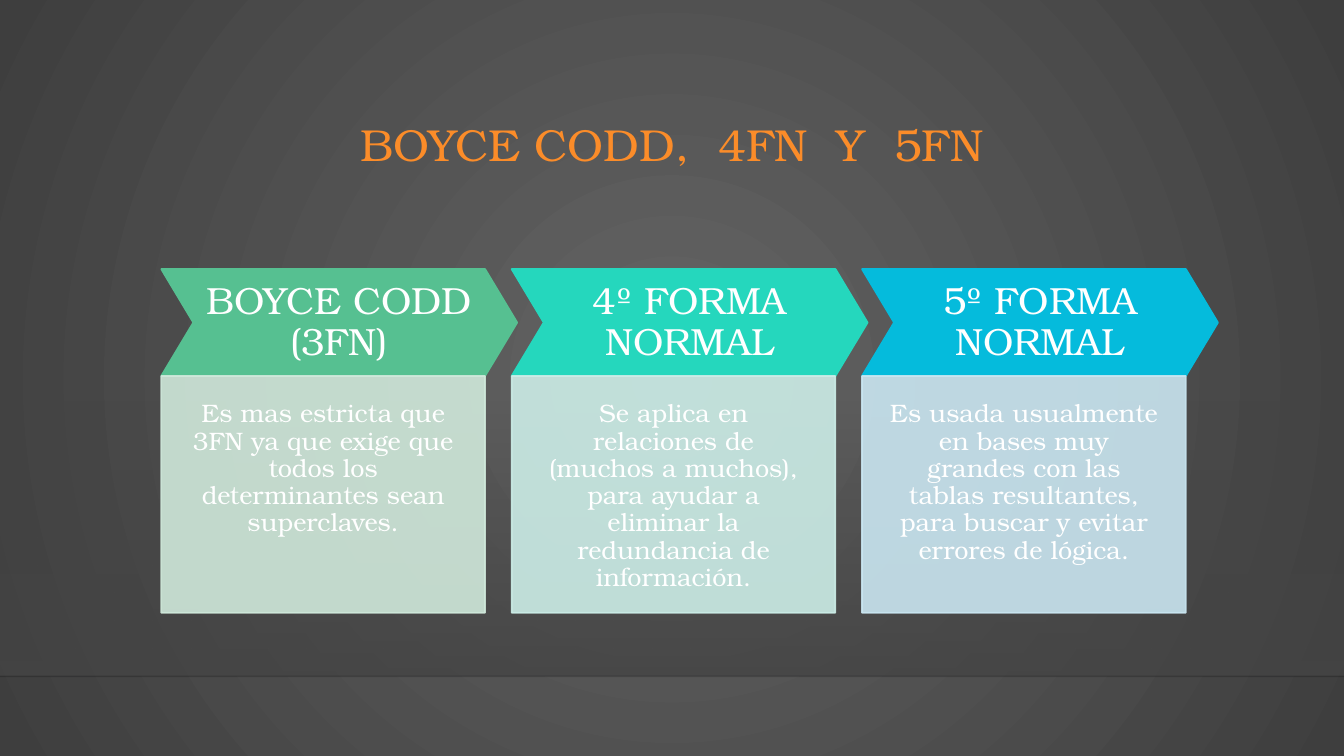
"""Build the slide that presents the Boyce Codd, fourth and fifth normal forms."""
from dataclasses import dataclass

from pptx import Presentation
from pptx import util as u
from pptx.dml.color import RGBColor
from pptx.enum import shapes, text
from pptx.oxml import parse_xml
from pptx.oxml.ns import nsdecls, qn
from pptx.oxml.xmlchemy import BaseOxmlElement
from pptx.shapes.autoshape import Shape
from pptx.slide import Slide
from pptx.text.text import TextFrame

FONT = "TeX Gyre Bonum"
WHITE = "FFFFFF"
SLIDE_WIDTH, SLIDE_HEIGHT = 13.33, 7.5
FIRST_LEFT, COLUMN_STEP = 1.6, 3.475
HEADER_TOP, HEADER_WIDTH, HEADER_HEIGHT = 2.67, 3.53, 1.06
BODY_WIDTH, BODY_HEIGHT = 3.21, 2.35
FLOOR_TOP = 6.71


@dataclass(frozen=True)
class NormalForm:
    """One column: its heading, explanation and two colours."""
    heading: str
    explanation: str
    accent: str
    tint: str


@dataclass(frozen=True)
class TextStyle:
    """Size, colour, anchor and left, top, right, bottom insets of a text."""
    size: float
    color: str
    anchor: text.MSO_ANCHOR
    insets: tuple[float, float, float, float]


TITLE = TextStyle(32, "FB8C29", text.MSO_ANCHOR.MIDDLE, (0.1, 0.05, 0.1, 0.05))
HEADING = TextStyle(27, WHITE, text.MSO_ANCHOR.MIDDLE, (0.13, 0.13, 0.13, 0.13))
EXPLANATION = TextStyle(18, WHITE, text.MSO_ANCHOR.TOP, (0.25, 0.25, 0.25, 0.51))

NORMAL_FORMS = [
    NormalForm("BOYCE CODD (3FN)",
               "Es mas estricta que 3FN ya que exige que todos los determinantes "
               "sean superclaves.", "56C091", "D0E9DB"),
    NormalForm("4º FORMA NORMAL",
               "Se aplica en relaciones de (muchos a muchos), para ayudar a eliminar "
               "la redundancia de información.", "25D7BD", "CCEDE7"),
    NormalForm("5º FORMA NORMAL",
               "Es usada usualmente en bases muy grandes con las tablas resultantes, "
               "para buscar y evitar errores de lógica.", "05BBDC", "CAE6F1"),
]


def rgb(color: str) -> RGBColor:
    """Turn a hex string into a colour."""
    return RGBColor.from_string(color)


def set_values(target: object, values: dict[str, object]) -> None:
    """Set each named attribute on the target."""
    for name, value in values.items():
        setattr(target, name, value)


def set_opacity(element: BaseOxmlElement, percent: int) -> None:
    """Give every colour inside the element the same opacity."""
    for color in element.iter(qn("a:srgbClr")):
        color.append(parse_xml(f'<a:alpha {nsdecls("a")} val="{percent * 1000}"/>'))


def write(frame: TextFrame, words: str, style: TextStyle) -> None:
    """Write centred text in the given style."""
    left, top, right, bottom = map(u.Inches, style.insets)
    set_values(frame, {
        "word_wrap": True, "auto_size": text.MSO_AUTO_SIZE.NONE,
        "vertical_anchor": style.anchor, "margin_left": left,
        "margin_top": top, "margin_right": right, "margin_bottom": bottom,
    })
    paragraph = frame.paragraphs[0]
    set_values(paragraph, {"alignment": text.PP_ALIGN.CENTER, "line_spacing": 0.9,
                           "space_before": u.Pt(0)})
    run = paragraph.add_run()
    run.text = words
    set_values(run.font, {"name": FONT, "size": u.Pt(style.size)})
    run.font.color.rgb = rgb(style.color)


def add_panel(slide: Slide, kind: shapes.MSO_SHAPE, left: float, top: float,
              width: float, height: float, color: str) -> Shape:
    """Add a flat shape with fill and outline of one colour."""
    panel = slide.shapes.add_shape(kind, *map(u.Inches, (left, top, width, height)))
    panel.shadow.inherit = False
    panel.fill.solid()
    panel.fill.fore_color.rgb = rgb(color)
    panel.line.color.rgb = rgb(color)
    panel.line.width = u.Pt(1.25)
    return panel


def add_backdrop(slide: Slide) -> None:
    """Paint the radial background, the shaded band and the floor line."""
    glow = slide.background.fill
    glow.gradient()
    for stop, color in zip(glow.gradient_stops, ("646464", "3E3E3E")):
        stop.color.rgb = rgb(color)
    direction = next(slide.element.iter(qn("a:lin")))
    direction.getparent().replace(direction, parse_xml(
        f'<a:path {nsdecls("a")} path="circle">'
        '<a:fillToRect l="50000" t="50000" r="50000" b="50000"/></a:path>'))

    band = add_panel(slide, shapes.MSO_SHAPE.RECTANGLE, 0, 3.96, SLIDE_WIDTH, 2.74, "454545")
    band.line.fill.background()
    band.fill.gradient()
    band.fill.gradient_angle = 270
    stop_elements = band.element.spPr.iter(qn("a:gs"))
    for stop, element, opacity in zip(band.fill.gradient_stops, stop_elements, (0, 80)):
        stop.color.rgb = rgb("454545")
        set_opacity(element, opacity)

    floor = slide.shapes.add_connector(
        shapes.MSO_CONNECTOR.STRAIGHT,
        *map(u.Inches, (0, FLOOR_TOP, SLIDE_WIDTH, FLOOR_TOP)))
    floor.line.color.rgb = rgb("000001")
    floor.line.width = u.Pt(1)
    set_opacity(floor.element.spPr, 20)
    floor.element.spPr.append(parse_xml(f'<a:effectLst {nsdecls("a")}/>'))


def add_title(slide: Slide) -> None:
    """Place the title in front of the backdrop."""
    title = slide.shapes.title
    set_values(title, {"left": u.Inches(1.59), "top": u.Inches(0.88),
                       "width": u.Inches(10.16), "height": u.Inches(1.15)})
    write(title.text_frame, "BOYCE CODD,  4FN  Y  5FN", TITLE)
    title.element.getparent().append(title.element)


def add_normal_form(slide: Slide, form: NormalForm, left: float) -> None:
    """Draw a chevron heading over its explanation."""
    header = add_panel(slide, shapes.MSO_SHAPE.CHEVRON, left, HEADER_TOP,
                       HEADER_WIDTH, HEADER_HEIGHT, form.accent)
    header.adjustments[0] = 0.3
    write(header.text_frame, form.heading, HEADING)
    body = add_panel(slide, shapes.MSO_SHAPE.RECTANGLE, left, HEADER_TOP + HEADER_HEIGHT,
                     BODY_WIDTH, BODY_HEIGHT, form.tint)
    set_opacity(body.element.spPr, 90)
    write(body.text_frame, form.explanation, EXPLANATION)


def main() -> None:
    """Build and save the presentation."""
    deck = Presentation()
    set_values(deck, {"slide_width": u.Inches(SLIDE_WIDTH),
                      "slide_height": u.Inches(SLIDE_HEIGHT)})
    slide = deck.slides.add_slide(deck.slide_layouts.get_by_name("Title Only"))
    add_backdrop(slide)
    add_title(slide)
    for column, form in enumerate(NORMAL_FORMS):
        add_normal_form(slide, form, FIRST_LEFT + column * COLUMN_STEP)
    deck.save("out.pptx")


if __name__ == "__main__":
    main()
